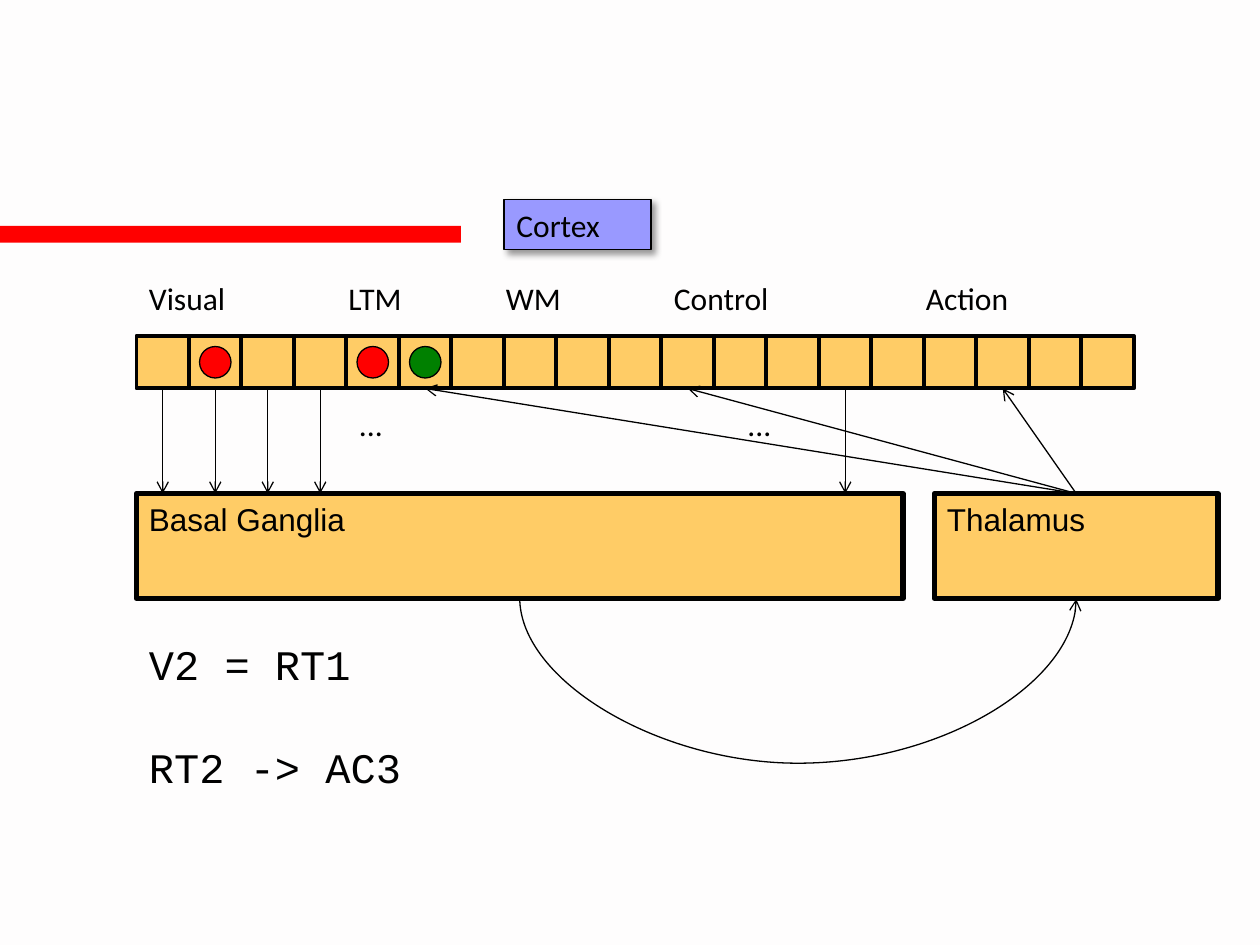
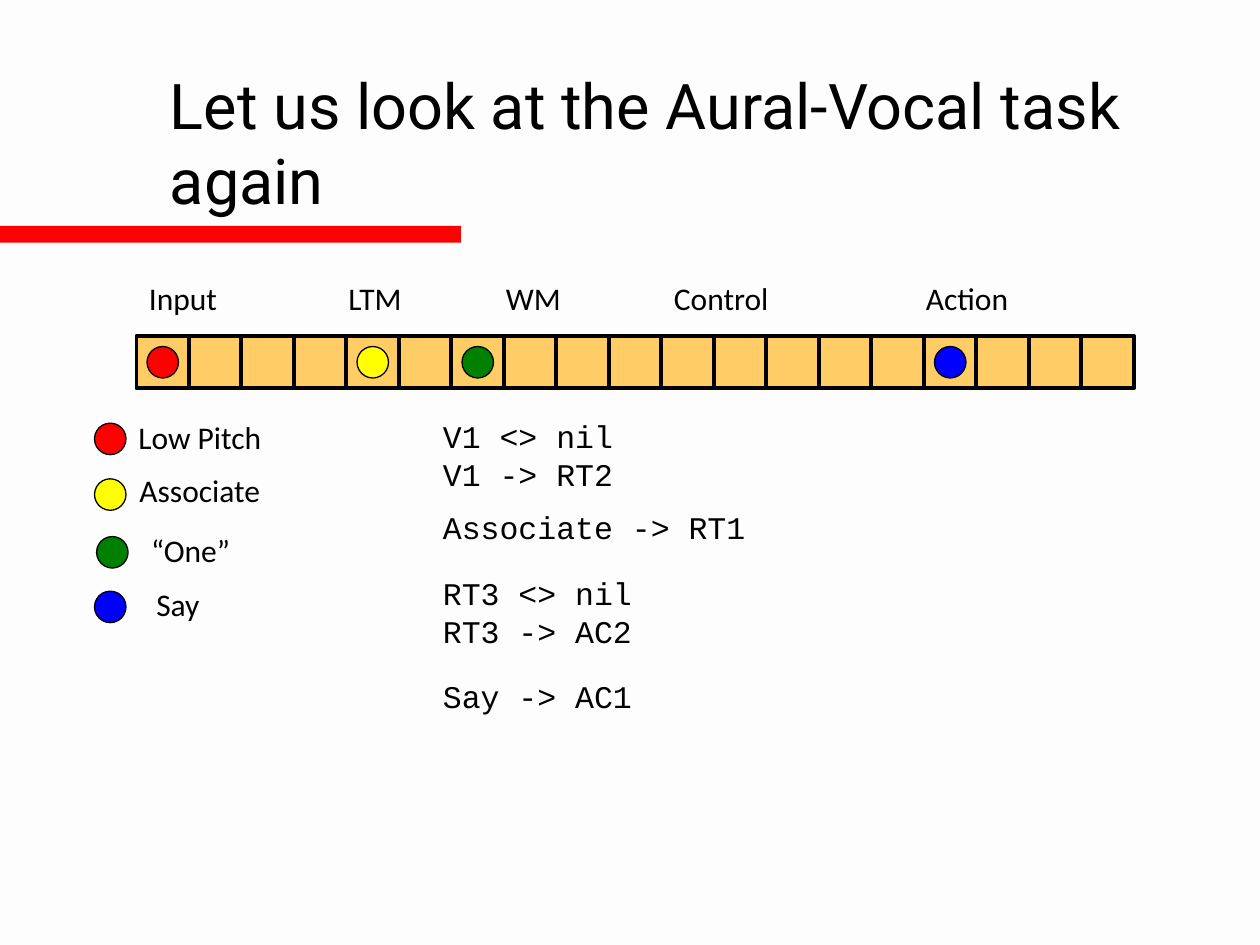
import lxml.etree
import pptx
import pptx.dml.color
import pptx.enum.shapes
import pptx.enum.text
import pptx.oxml.ns
import pptx.util

RGBColor = pptx.dml.color.RGBColor
MSO_SHAPE = pptx.enum.shapes.MSO_SHAPE
MSO_CONNECTOR = pptx.enum.shapes.MSO_CONNECTOR
MSO_ANCHOR = pptx.enum.text.MSO_ANCHOR
qn = pptx.oxml.ns.qn

PAPER = RGBColor(0xFE, 0xFD, 0xFD)
BLACK = RGBColor(0x00, 0x00, 0x00)
RED = RGBColor(0xFF, 0x00, 0x00)
GREEN = RGBColor(0x00, 0x80, 0x00)
YELLOW = RGBColor(0xFF, 0xFF, 0x00)
BLUE = RGBColor(0x00, 0x00, 0xFF)
AMBER = RGBColor(0xFF, 0xCC, 0x66)
LILAC = RGBColor(0x99, 0x99, 0xFF)

# The grid: 120 columns by 90 rows, twelve to the inch
COLUMNS, ROWS = 120, 90
CELL, CELL_COUNT = 5, 19
STRIP_LEFT, STRIP_TOP = 13, 32
STRIP_BOTTOM = STRIP_TOP + CELL
BOX_TOP, BOX_HEIGHT = 47, 10
TOKEN = 3
LINE_HEIGHT = 4.8


def grid(*lengths):
    return [pptx.util.Inches(length / 12) for length in lengths]


def write(frame, text, size=18, font="Calibri", color=BLACK,
          anchor=MSO_ANCHOR.TOP):
    """Fill a text frame, one paragraph per line of text."""
    frame.word_wrap = True
    frame.vertical_anchor = anchor
    for number, line in enumerate(text.split("\n")):
        paragraph = frame.add_paragraph() if number else frame.paragraphs[0]
        paragraph.alignment = pptx.enum.text.PP_ALIGN.LEFT
        run = paragraph.add_run()
        run.text = line
        run.font.size = pptx.util.Pt(size)
        run.font.name = font
        run.font.color.rgb = color


def add_text(slide, text, left, top, width, height=LINE_HEIGHT, **style):
    box = slide.shapes.add_textbox(*grid(left, top, width, height))
    write(box.text_frame, text, **style)


def add_block(slide, left, top, width, height, fill, outline=0.75,
              kind=MSO_SHAPE.RECTANGLE):
    block = slide.shapes.add_shape(kind, *grid(left, top, width, height))
    block.shadow.inherit = False
    block.fill.solid()
    block.fill.fore_color.rgb = fill
    if outline:
        block.line.color.rgb = BLACK
        block.line.width = pptx.util.Pt(outline)
    else:
        block.line.fill.background()
    return block


def add_token(slide, left, top, color):
    add_block(slide, left, top, TOKEN, TOKEN, color, kind=MSO_SHAPE.OVAL)


def add_arrow(slide, start, end, kind=MSO_CONNECTOR.STRAIGHT):
    arrow = slide.shapes.add_connector(kind, *grid(*start, *end))
    arrow.line.color.rgb = BLACK
    arrow.line.width = pptx.util.Pt(0.75)
    outline = arrow._element.spPr.find(qn("a:ln"))
    lxml.etree.SubElement(outline, qn("a:tailEnd"), type="arrow")
    lxml.etree.SubElement(arrow._element.spPr, qn("a:effectLst"))
    return arrow


def add_loop(slide, source, target, depth):
    """Curve that leaves one box's bottom, dips and enters the other's."""
    loop = add_arrow(slide, (0, 0), (1, 1), MSO_CONNECTOR.CURVE)
    loop.begin_connect(source, 2)
    loop.end_connect(target, 2)
    start = source.left + source.width // 2
    end = target.left + target.width // 2
    thickness, span = pptx.util.Inches(0.01), end - start
    loop.width, loop.height = thickness, span
    loop.left = (start + end - thickness) // 2
    loop.top = source.top + source.height - span // 2
    # A quarter turn makes the connector's bend point downwards
    frame = loop._element.spPr.find(qn("a:xfrm"))
    frame.attrib.pop("flipV", None)
    frame.set("rot", str(270 * 60000))
    frame.set("flipH", "1")
    guides = loop._element.spPr.find(qn("a:prstGeom")).get_or_add_avLst()
    bend = round(grid(depth)[0] / thickness * 100000)
    lxml.etree.SubElement(guides, qn("a:gd"), name="adj1", fmla=f"val {bend}")


def add_drop_shadow(block):
    effects = block._element.spPr.find(qn("a:effectLst"))
    shadow = lxml.etree.SubElement(
        effects, qn("a:outerShdw"), blurRad=str(pptx.util.Pt(4)),
        dist=str(pptx.util.Pt(3)), dir=str(45 * 60000), rotWithShape="0")
    tint = lxml.etree.SubElement(shadow, qn("a:srgbClr"), val=str(BLACK))
    lxml.etree.SubElement(tint, qn("a:alpha"), val="40000")


def add_slide(deck):
    """Blank slide with the shared background and red band."""
    slide = deck.slides.add_slide(deck.slide_layouts[6])
    slide.background.fill.solid()
    slide.background.fill.fore_color.rgb = PAPER
    add_block(slide, 0, 21.5, 43.9, 1.6, RED, outline=0)
    return slide


def cell_left(cell):
    return STRIP_LEFT + cell * CELL


def cell_middle(cell):
    return cell_left(cell) + CELL / 2


def add_strip(slide, first_region, tokens):
    """Row of buffer cells with region names above and tokens inside."""
    for cell in range(CELL_COUNT):
        add_block(slide, cell_left(cell), STRIP_TOP, CELL, CELL, AMBER, 2.25)
    regions = (first_region, "LTM", "WM", "Control", "Action")
    for region, left in zip(regions, (13, 32, 47, 63, 87)):
        add_text(slide, region, left, 26, 15)
    for cell, color in tokens:
        add_token(slide, cell_left(cell) + 1, STRIP_TOP + 1, color)


def add_module(slide, name, left, width):
    module = add_block(slide, left, BOX_TOP, width, BOX_HEIGHT, AMBER, 3)
    write(module.text_frame, name, font="Arial")
    return module


def build_brain_model(deck):
    slide = add_slide(deck)
    add_strip(slide, "Visual", ((1, RED), (4, RED), (5, GREEN)))
    cortex = add_block(slide, 48, 19, 14, LINE_HEIGHT, LILAC)
    add_drop_shadow(cortex)
    write(cortex.text_frame, "Cortex")

    # Modules below the cortex and the loop between them
    ganglia = add_module(slide, "Basal Ganglia", 13, 73)
    thalamus = add_module(slide, "Thalamus", 89, 27)
    add_loop(slide, ganglia, thalamus, 16)

    # Cells read by the ganglia, then cells written by the thalamus
    for cell in (0, 1, 2, 3, 13):
        add_arrow(slide, (cell_middle(cell), STRIP_BOTTOM), (cell_middle(cell), BOX_TOP))
    for cell in (5, 10, 16):
        add_arrow(slide, (102.5, BOX_TOP), (cell_middle(cell), STRIP_BOTTOM))
    for left in (33, 70):
        add_text(slide, "...", left, 38, 8)

    # Rule
    for rule, top in (("V2 = RT1", 60.25), ("RT2 -> AC3", 70)):
        add_text(slide, rule, 13, top, 36.6, 6, size=24, font="Courier New")


def build_aural_vocal(deck):
    slide = add_slide(deck)
    add_text(slide, "Let us look at the Aural-Vocal task again", 15, 6, 102, 15,
             size=36, font="Roboto", anchor=MSO_ANCHOR.MIDDLE)
    add_strip(slide, "Input", ((0, RED), (4, YELLOW), (6, GREEN), (15, BLUE)))

    # Legend: token position, then label position
    legend = (("Low Pitch", RED, 9, 40.3, 12, 39.2),
              ("Associate", YELLOW, 9, 45.6, 12.1, 44.3),
              ("“One”", GREEN, 9.2, 51.1, 13.2, 50),
              ("Say", BLUE, 9, 56.3, 13.7, 55.1))
    for label, color, token_left, token_top, left, top in legend:
        add_token(slide, token_left, token_top, color)
        add_text(slide, label, left, top, 20)

    # Rules
    rules = (("V1 <> nil\nV1 -> RT2", 39.1, 8.5),
             ("Associate -> RT1", 47.8, LINE_HEIGHT),
             ("RT3 <> nil\nRT3 -> AC2", 54.1, 8.5),
             ("Say -> AC1", 63.9, LINE_HEIGHT))
    for rule, top, height in rules:
        add_text(slide, rule, 41, top, 34.7, height, font="Courier New")


def main():
    deck = pptx.Presentation()
    deck.slide_width, deck.slide_height = grid(COLUMNS, ROWS)
    build_brain_model(deck)
    build_aural_vocal(deck)
    deck.save("out.pptx")


if __name__ == "__main__":
    main()
